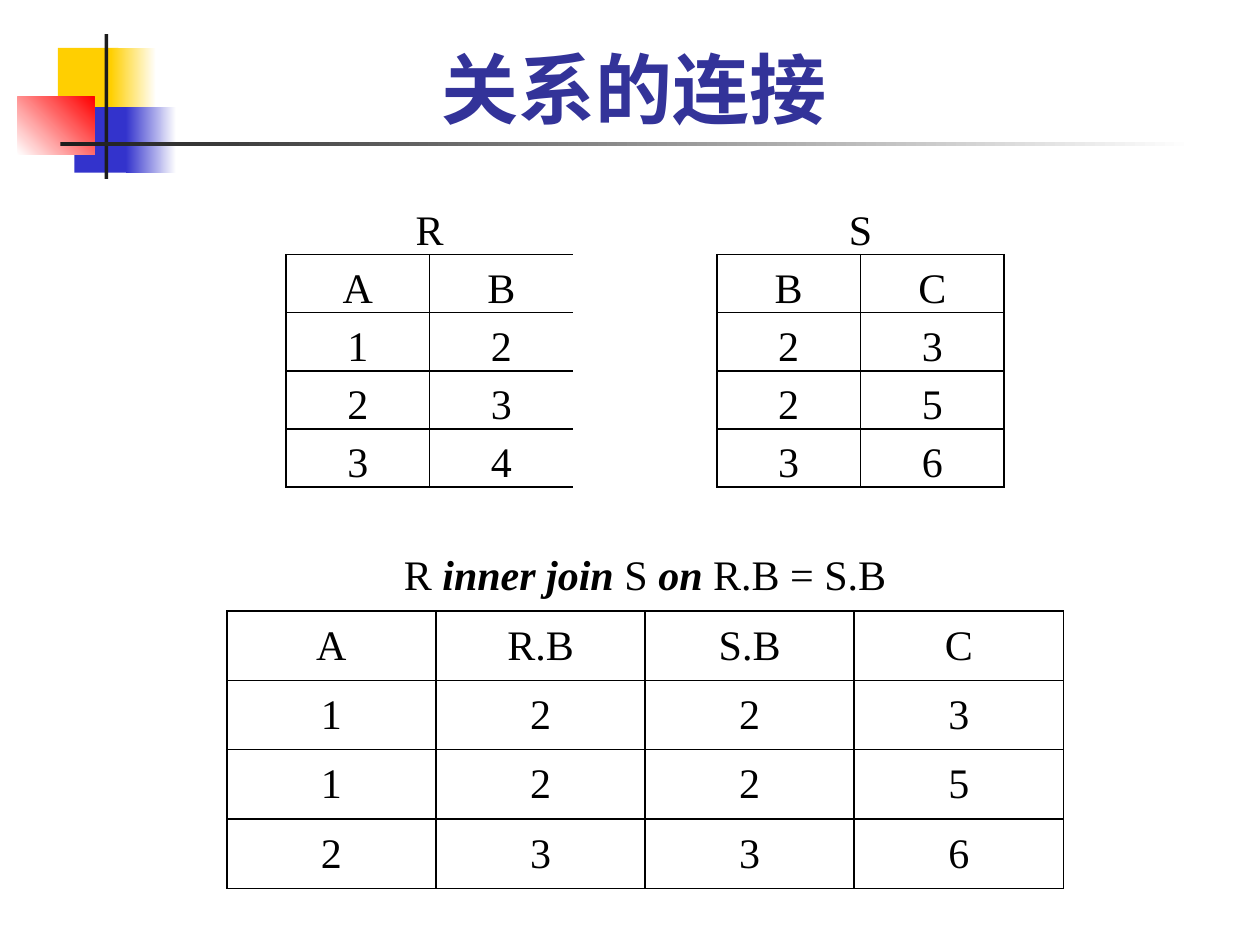
from lxml import etree
from pptx import Presentation
from pptx.dml.color import RGBColor
from pptx.enum import shapes, text
from pptx.oxml.ns import qn
from pptx.util import Inches, Pt


def color(value):
    return RGBColor.from_string(value)


def format_cell(cell, runs, sides):
    tc_pr = cell._tc.get_or_add_tcPr()
    for side in "LRTB":
        line = etree.SubElement(tc_pr, qn(f"a:ln{side}"), w=str(Pt(1)))
        if side in sides:
            fill = etree.SubElement(line, qn("a:solidFill"))
            etree.SubElement(fill, qn("a:srgbClr"), val="000000")
        else:
            etree.SubElement(line, qn("a:noFill"))
    cell.fill.background()
    margins = {"margin_left": 0.07, "margin_right": 0.07, "margin_top": 0, "margin_bottom": 0}
    for name, value in margins.items():
        setattr(cell, name, Inches(value))
    paragraph = cell.text_frame.paragraphs[0]
    paragraph.alignment = text.PP_ALIGN.CENTER
    paragraph.line_spacing = 1.25
    for words, strong in runs:
        run = paragraph.add_run()
        run.text = words
        look = {"name": "Times New Roman", "size": Pt(24), "bold": strong, "italic": strong}
        for name, value in look.items():
            setattr(run.font, name, value)
        run.font.color.rgb = color("000000")


deck = Presentation()
deck.slide_width, deck.slide_height = Inches(10), Inches(7.5)
slide = deck.slides.add_slide(deck.slide_layouts[5])

ornaments = [
    ((0.46, 0.38, 0.48, 0.52), ["FFCF01"], 0),
    ((0.88, 0.38, 0.36, 0.52), ["FFCF01", "FFFFFF"], 0),
    ((0.59, 0.85, 0.46, 0.52), ["3333CC"], 0),
    ((1, 0.85, 0.4, 0.52), ["3333CC", "FFFFFF"], 0),
    ((0.14, 0.77, 0.61, 0.46), ["FFFFFF", "FF0000"], 45),
    ((0.83, 0.27, 0.03, 1.15), ["1C1C1C"], 0),
    ((0.48, 1.13, 9, 0.03), ["1C1C1C", "FFFFFF"], 0),
]
for place, tints, angle in ornaments:
    ornament = slide.shapes.add_shape(shapes.MSO_SHAPE.RECTANGLE, *map(Inches, place))
    ornament.shadow.inherit = False
    ornament.line.fill.background()
    if len(tints) == 1:
        ornament.fill.solid()
        ornament.fill.fore_color.rgb = color(tints[0])
    else:
        ornament.fill.gradient()
        ornament.fill.gradient_angle = angle
        for stop, tint in zip(ornament.fill.gradient_stops, tints):
            stop.color.rgb = color(tint)

heading = slide.shapes.title
heading_place = {"left": 0.39, "top": 0.18, "width": 9.28, "height": 0.93}
for name, value in heading_place.items():
    setattr(heading, name, Inches(value))
heading.text_frame.text = "关系的连接"
heading.text_frame.vertical_anchor = text.MSO_ANCHOR.BOTTOM
heading_line = heading.text_frame.paragraphs[0]
heading_line.alignment = text.PP_ALIGN.CENTER
heading_run = heading_line.runs[0]
for name, value in {"name": "Roboto", "size": Pt(44), "bold": True}.items():
    setattr(heading_run.font, name, value)
heading_run.font.color.rgb = color("333399")
etree.SubElement(heading_run._r.get_or_add_rPr(), qn("a:ea"), typeface="Roboto")

join_caption = [("R", False), (" inner join ", True), ("S ", False), ("on", True), (" R.B = S.B", False)]
relations = [
    {
        "place": (2.27, 1.56), "cell": (1.14, 0.46), "gap": 2,
        "captions": {0: [("R", False)], 3: [("S", False)]},
        "merges": [(0, 0, 0, 1), (0, 2, 4, 2), (0, 3, 0, 4)],
        "rows": ["A B - B C", "1 2 - 2 3", "2 3 - 2 5", "3 4 - 3 6"],
    },
    {
        "place": (1.8, 4.3), "cell": (1.66, 0.55), "gap": None,
        "captions": {0: join_caption},
        "merges": [(0, 0, 0, 3)],
        "rows": ["A R.B S.B C", "1 2 2 3", "1 2 2 5", "2 3 3 6"],
    },
]
for relation in relations:
    body = [row.split() for row in relation["rows"]]
    row_count, column_count = len(body) + 1, len(body[0])
    cell_width, cell_height = relation["cell"]
    size = (cell_width * column_count, cell_height * row_count)
    grid = slide.shapes.add_table(row_count, column_count, *map(Inches, relation["place"] + size)).table
    grid.first_row = grid.horz_banding = False
    for column in grid.columns:
        column.width = Inches(cell_width)
    for row in grid.rows:
        row.height = Inches(cell_height)
    for top, left, bottom, right in relation["merges"]:
        grid.cell(top, left).merge(grid.cell(bottom, right))
    for r in range(row_count):
        for c in range(column_count):
            if c == relation["gap"]:
                runs, sides = [], ""
            elif r == 0:
                runs, sides = relation["captions"].get(c, []), "B"
            else:
                runs = [(body[r - 1][c], False)]
                sides = "LTB" if c + 1 == relation["gap"] else "LRTB"
            format_cell(grid.cell(r, c), runs, sides)

deck.save("out.pptx")
